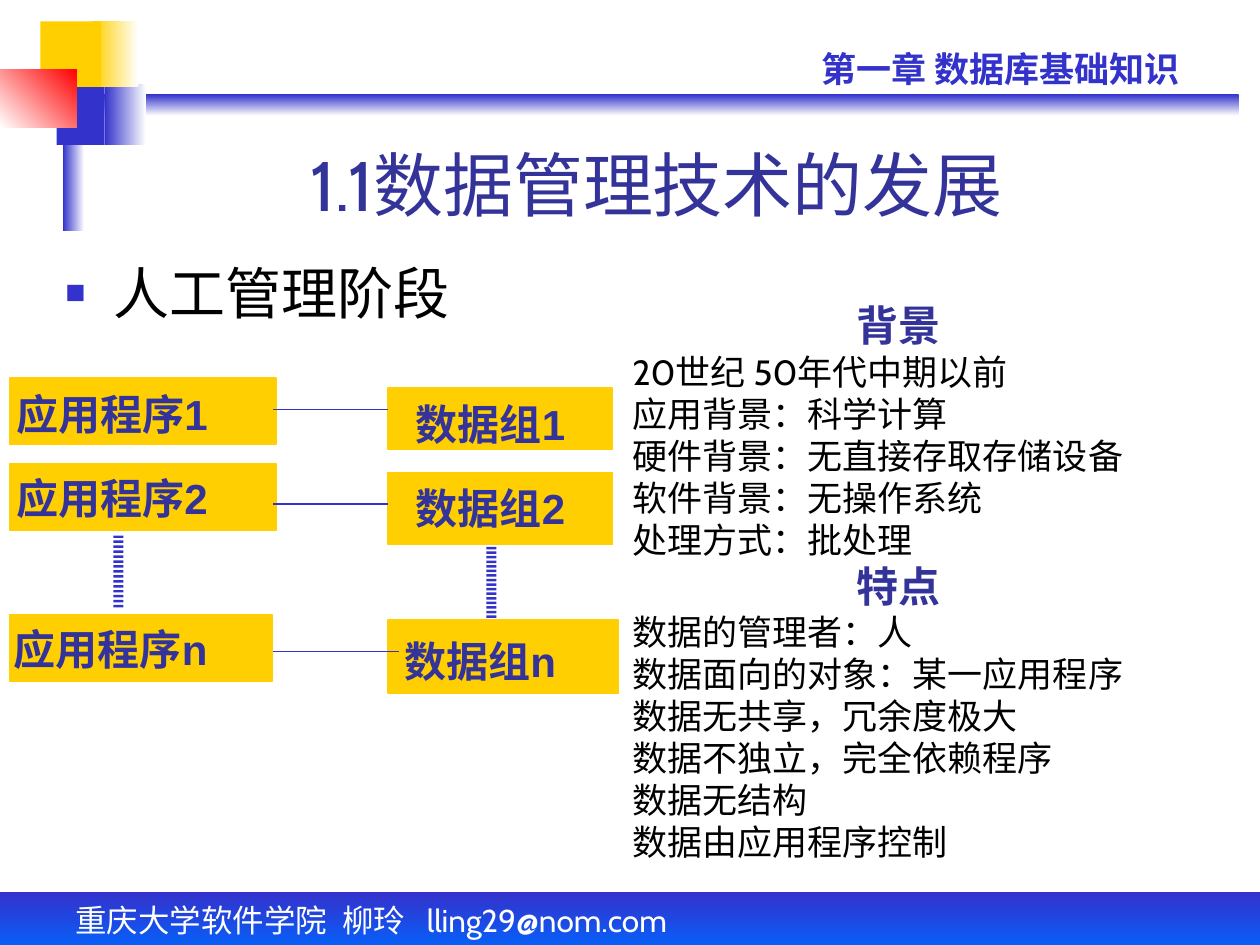
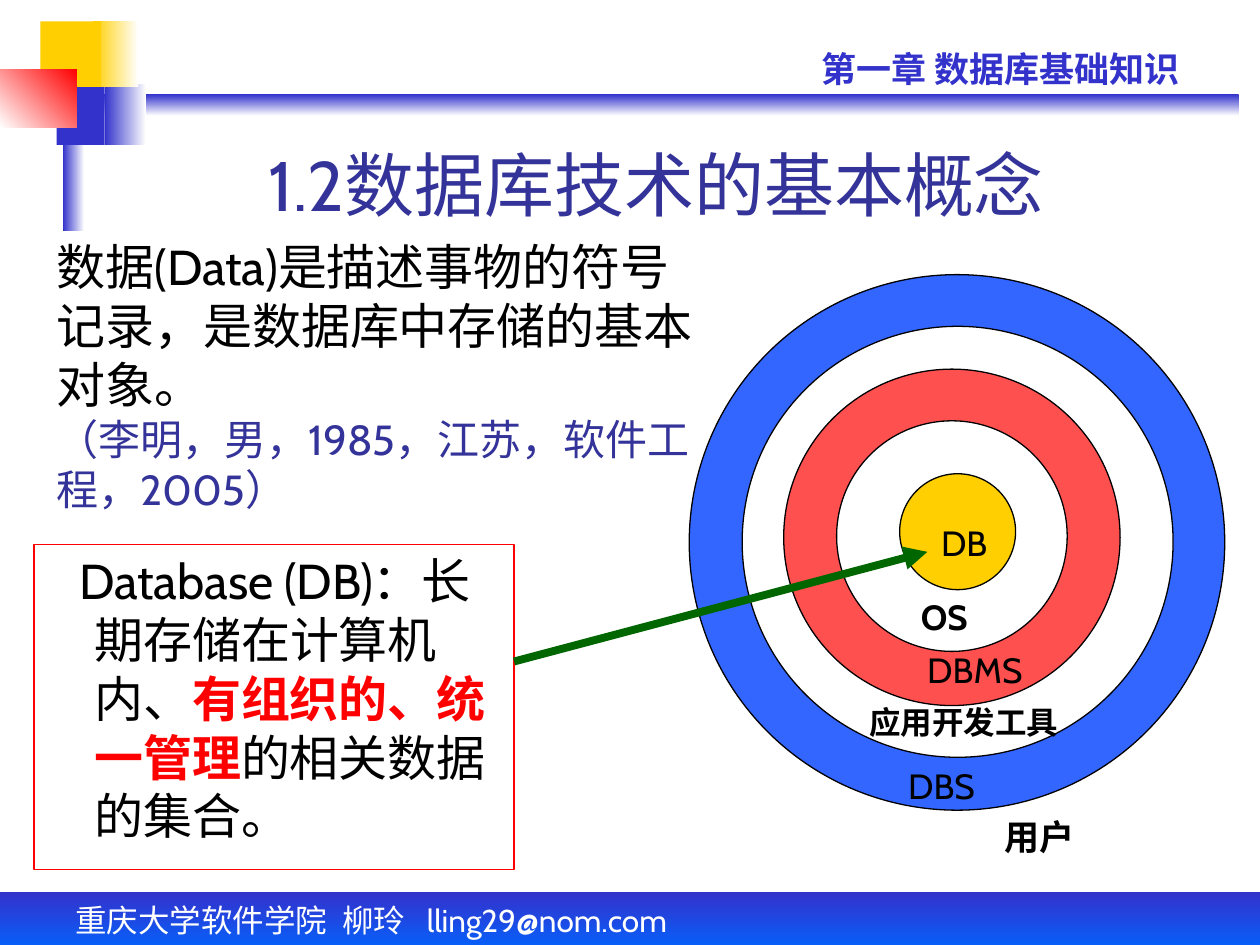
from lxml import etree
from pptx import Presentation
from pptx.dml.color import RGBColor
from pptx.enum import shapes, text
from pptx.oxml.ns import qn
from pptx.util import Inches, Pt

BLUE = RGBColor(0x33, 0x33, 0xCC)
NAVY = RGBColor(0x33, 0x33, 0x99)
SKY = RGBColor(0x00, 0x66, 0xFF)
RING = RGBColor(0x33, 0x66, 0xFF)
GOLD = RGBColor(0xFF, 0xCF, 0x01)
RED = RGBColor(0xFF, 0x00, 0x00)
CORAL = RGBColor(0xFF, 0x50, 0x50)
GREEN = RGBColor(0x00, 0x66, 0x00)
BLACK = RGBColor(0, 0, 0)
WHITE = RGBColor(0xFF, 0xFF, 0xFF)

RECT = shapes.MSO_SHAPE.RECTANGLE
OVAL = shapes.MSO_SHAPE.OVAL
CENTER = text.PP_ALIGN.CENTER

# Shared frame: place, then one colour or (from, to, clockwise angle)
BANDS = [
    ((0.58, 0.75, 9.25, 0.17), (BLUE, WHITE, 90)),
    ((0.83, 0.67, 0.33, 0.48), (WHITE, BLUE, 180)),
    ((0, 7.08, 10, 0.5), (BLUE, SKY, 90)),
    ((0.5, 0.58, 0.17, 1.25), (WHITE, BLUE, 180)),
    ((0.45, 0.67, 0.38, 0.48), BLUE),
    ((0.74, 0.17, 0.36, 0.52), (WHITE, GOLD, 180)),
    ((0.32, 0.17, 0.48, 0.52), GOLD),
    ((0, 0.55, 0.61, 0.46), (RED, WHITE, 135)),
]
FOOTER = "重庆大学软件学院\t柳玲\tlling29@nom.com"
FOOTER_TABS = (2.12, 2.79)
CHAPTER = "第一章 数据库基础知识"

# Slide 1
STAGE = "人工管理阶段"
BOXES = [  # name, box, left and top of name, width of name
    ("应用程序1", (0.08, 3, 2.11, 0.53), (0.13, 3.08, 1.75)),
    ("应用程序2", (0.08, 3.68, 2.11, 0.53), (0.13, 3.75, 1.75)),
    ("应用程序n", (0.08, 4.88, 2.08, 0.53), (0.11, 4.95, 1.75)),
    ("数据组1", (3.08, 3.08, 1.78, 0.49), (3.3, 3.16, 1.4)),
    ("数据组2", (3.08, 3.75, 1.78, 0.57), (3.3, 3.83, 1.4)),
    ("数据组n", (3.08, 4.92, 1.83, 0.58), (3.21, 5.04, 1.4)),
]
DOTS = [(0.9, 4.25, 4.84, 15), (3.86, 4.34, 4.92, 16)]  # x, top, end, count
LINKS = [(3.25, 3.08), (4, 3.08), (5.17, 3.17)]  # y, right end
FACTS = [
    ("背景", ["20世纪 50年代中期以前", "应用背景：科学计算",
            "硬件背景：无直接存取存储设备", "软件背景：无操作系统",
            "处理方式：批处理"]),
    ("特点", ["数据的管理者：人", "数据面向的对象：某一应用程序",
            "数据无共享，冗余度极大", "数据不独立，完全依赖程序",
            "数据无结构", "数据由应用程序控制"]),
]

# Slide 2
DATA = "数据(Data)是描述事物的符号记录，是数据库中存储的基本对象。"
SAMPLE = "（李明，男，1985，江苏，软件工程，2005）"
DEFINE = [
    ("Database (DB)：长期存储在计算机内、", 28, BLACK, False),
    ("有组织的、统一管理", 28, RED, True),
    ("的相关数据的集合。", 28, BLACK, False),
]
RINGS = [  # left, top, diameter, colour
    (5.47, 2.18, 4.25, RING),
    (5.89, 2.59, 3.42, WHITE),
    (6.22, 2.93, 2.67, CORAL),
    (6.64, 3.34, 1.83, WHITE),
    (7.14, 3.76, 0.92, GOLD),
]
LAYERS = [  # name, place, size, bold
    ("DB", (7.37, 4.09, 0.65, 0.44), 20, False),
    ("OS", (7.21, 4.68, 0.65, 0.44), 20, True),
    ("DBMS", (7.26, 5.1, 1.05, 0.44), 20, False),
    ("应用开发工具", (6.8, 5.53, 1.8, 0.4), 18, True),
    ("DBS", (7.11, 6.02, 0.8, 0.44), 20, False),
    ("用户", (7.87, 6.42, 0.85, 0.44), 20, True),
]


def place(at):
    return [Inches(n) for n in at]


def add_part(slide, kind, at, fill, edge=None):
    """Add a shape; fill is a colour or (from, to, clockwise angle)."""
    part = slide.shapes.add_shape(kind, *place(at))
    part.shadow.inherit = False
    if isinstance(fill, RGBColor):
        part.fill.solid()
        part.fill.fore_color.rgb = fill
    else:
        *tones, turn = fill
        part.fill.gradient()
        part.fill.gradient_angle = 360 - turn
        for stop, tone in zip(part.fill.gradient_stops, tones):
            stop.color.rgb = tone
    if edge is None:
        part.line.fill.background()
    else:
        part.line.color.rgb = edge
        part.line.width = Pt(0.75)
    return part


def style(run, size, color, bold=False, face="Cabin"):
    run.font.size = Pt(size)
    run.font.color.rgb = color
    run.font.bold = bold
    run.font.name = face


def add_text(slide, at, paras, wrap=True, pad=True, face="Cabin"):
    """Add a text box; each paragraph is a list of (words, size, colour, bold)."""
    box = slide.shapes.add_textbox(*place(at))
    frame = box.text_frame
    frame.word_wrap = wrap
    if not pad:
        frame.margin_left = frame.margin_right = 0
        frame.margin_top = frame.margin_bottom = 0
    for i, runs in enumerate(paras):
        para = frame.add_paragraph() if i else frame.paragraphs[0]
        for words, *look in runs:
            run = para.add_run()
            run.text = words
            style(run, *look, face=face)
    return box


def indent(para, left, first):
    props = para._p.get_or_add_pPr()
    props.set("marL", str(Inches(left)))
    props.set("indent", str(Inches(first)))
    return props


def add_line(slide, start, end, color, width):
    line = slide.shapes.add_connector(
        shapes.MSO_CONNECTOR.STRAIGHT, *place(start + end))
    line.line.color.rgb = color
    line.line.width = Pt(width)
    etree.SubElement(line._element.spPr, qn("a:effectLst"))
    return line


def add_slide(deck, title):
    """Add a slide with the shared bands, footer, chapter name and title."""
    slide = deck.slides.add_slide(deck.slide_layouts[5])
    for at, fill in BANDS:
        add_part(slide, RECT, at, fill)

    foot = add_text(slide, (0.5, 7.1, 7.33, 0.46), [[(FOOTER, 18, WHITE)]])
    para = foot.text_frame.paragraphs[0]
    para.space_before = Pt(11.2)
    tabs = etree.SubElement(para._p.get_or_add_pPr(), qn("a:tabLst"))
    for pos in FOOTER_TABS:
        etree.SubElement(tabs, qn("a:tab"), pos=str(Inches(pos)), algn="l")

    head = add_text(slide, (6.42, 0.33, 3.42, 0.44),
                    [[(CHAPTER, 20, BLUE, True)]])
    head.text_frame.paragraphs[0].space_before = Pt(12.5)

    name = slide.shapes.title
    name.left, name.top, name.width, name.height = place(
        (1.25, 1.17, 7.92, 0.67))
    frame = name.text_frame
    frame.text = title
    frame.auto_size = text.MSO_AUTO_SIZE.NONE
    frame.vertical_anchor = text.MSO_ANCHOR.BOTTOM
    frame.paragraphs[0].alignment = CENTER
    style(frame.paragraphs[0].runs[0], 40, NAVY)
    return slide


def add_bullet(para):
    props = indent(para, 0.38, -0.38)
    tint = etree.SubElement(props, qn("a:buClr"))
    etree.SubElement(tint, qn("a:srgbClr"), val=str(BLUE))
    etree.SubElement(props, qn("a:buSzPct"), val="60000")
    etree.SubElement(props, qn("a:buFont"), typeface="Arial")
    etree.SubElement(props, qn("a:buChar"), char="■")


def build_stage(deck):
    slide = add_slide(deck, "1.1数据管理技术的发展")
    body = add_text(slide, (0.42, 2, 9.17, 4.92), [[(STAGE, 32, BLACK)]])
    para = body.text_frame.paragraphs[0]
    para.space_before = Pt(8)
    add_bullet(para)

    for name, at, spot in BOXES:
        add_part(slide, RECT, at, GOLD, GOLD)
        add_text(slide, spot + (0.4,), [[(name, 24, NAVY, True)]],
                 wrap=False, pad=False, face="Arial")
    for x, top, end, count in DOTS:
        step = (end - top) / count
        for i in range(count):
            add_part(slide, RECT, (x, top + i * step, 0.08, 0.02), BLUE)
    for y, right in LINKS:
        add_line(slide, (2.17, y), (right, y), BLUE, 0.75)

    paras = []
    for topic, facts in FACTS:
        paras.append([(topic, 24, NAVY, True)])
        paras += [[(fact, 20, BLACK)] for fact in facts]
    notes = add_text(slide, (4.92, 2.33, 4.42, 4.57), paras)
    topics = [topic for topic, _ in FACTS]
    for para in notes.text_frame.paragraphs:
        if para.text in topics:
            para.alignment = CENTER


def build_terms(deck):
    slide = add_slide(deck, "1.2数据库技术的基本概念")
    box = add_text(slide, (0.27, 4.32, 3.81, 2.58), [DEFINE])
    box.line.color.rgb = RED
    box.line.width = Pt(0.75)
    para = box.text_frame.paragraphs[0]
    para.space_before = Pt(7)
    # Keep punctuation inside the frame
    indent(para, 0.38, -0.12).set("hangingPunct", "0")

    for left, top, size, color in RINGS:
        add_part(slide, OVAL, (left, top, size, size), color, BLACK)
    for name, at, size, bold in LAYERS:
        add_text(slide, at, [[(name, size, BLACK, bold)]], wrap=False)

    arrow = add_line(slide, (4.08, 5.25), (7.36, 4.38), GREEN, 4.5)
    etree.SubElement(arrow.line._get_or_add_ln(), qn("a:tailEnd"),
                     type="triangle")
    add_text(slide, (0.35, 1.83, 5.43, 2.3),
             [[(DATA, 28, BLACK)], [(SAMPLE, 24, NAVY)]])


def main():
    deck = Presentation()
    deck.slide_width, deck.slide_height = Inches(10), Inches(7.5)
    build_stage(deck)
    build_terms(deck)
    deck.save("out.pptx")


if __name__ == "__main__":
    main()
